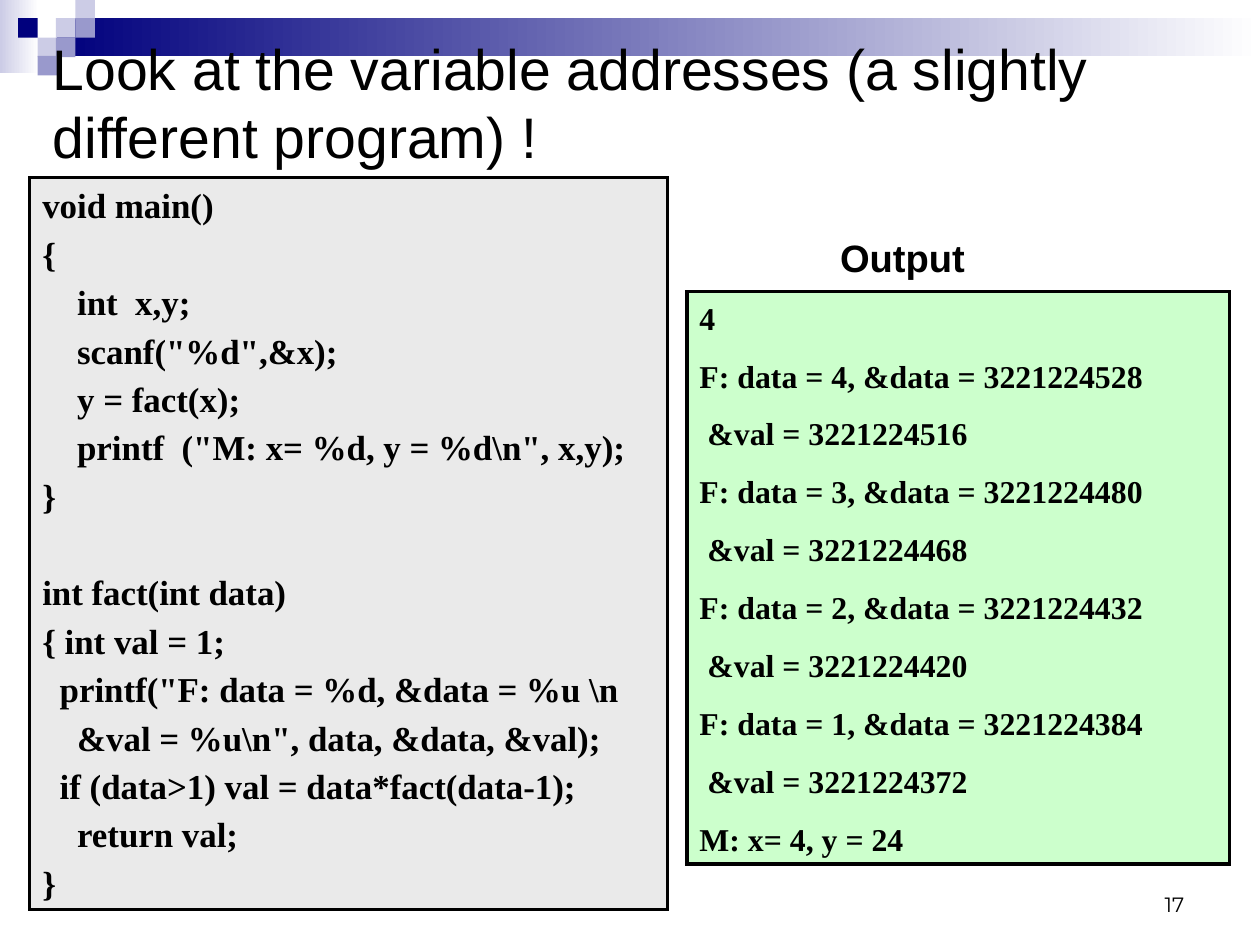
from lxml import etree
from pptx import Presentation
from pptx.dml.color import RGBColor
from pptx.enum import shapes, text
from pptx.oxml import ns
from pptx.util import Inches, Pt

NAVY, LILAC, PERIWINKLE, WHITE, BLACK = "00007D", "CCCCE6", "9999CC", "FFFFFF", "000000"

CODE = r'''void main()
{
    int  x,y;
    scanf("%d",&x);
    y = fact(x);
    printf  ("M: x= %d, y = %d\n", x,y);
}

int fact(int data)
{ int val = 1;
  printf("F: data = %d, &data = %u \n
    &val = %u\n", data, &data, &val);
  if (data>1) val = data*fact(data-1);
    return val;
}'''

OUTPUT = """4
F: data = 4, &data = 3221224528
 &val = 3221224516
F: data = 3, &data = 3221224480
 &val = 3221224468
F: data = 2, &data = 3221224432
 &val = 3221224420
F: data = 1, &data = 3221224384
 &val = 3221224372
M: x= 4, y = 24"""

TILES = [
    (0.49, 0.16, LILAC), (0.66, 0, LILAC), (0.66, 0.16, PERIWINKLE),
    (0.33, 0.33, LILAC), (0.16, 0.16, NAVY), (0.49, 0.33, PERIWINKLE),
    (0.33, 0.49, PERIWINKLE),
]


def color(value):
    return RGBColor.from_string(value)


def add_rect(slide, box, fill, fade_to=None, border=None):
    rect = slide.shapes.add_shape(
        shapes.MSO_SHAPE.RECTANGLE, *(Inches(length) for length in box))
    rect.shadow.inherit = False
    if fade_to:
        rect.fill.gradient()
        rect.fill.gradient_angle = 0
        for stop, value in zip(rect.fill.gradient_stops, (fill, fade_to)):
            stop.color.rgb = color(value)
    else:
        rect.fill.solid()
        rect.fill.fore_color.rgb = color(fill)
    if border:
        rect.line.color.rgb = color(border)
        rect.line.width = Pt(2)
        outline = rect.element.spPr.find(ns.qn("a:ln"))
        etree.SubElement(outline, ns.qn("a:miter"), lim="800000")
    else:
        rect.line.fill.background()
    return rect


def add_box(slide, box):
    return slide.shapes.add_textbox(*(Inches(length) for length in box))


def write(shape, content, *, size, font="Arial", bold=False, gap=0, inset=(0.11, 0.06),
          align=text.PP_ALIGN.LEFT, anchor=text.MSO_ANCHOR.TOP):
    frame = shape.text_frame
    frame.word_wrap = True
    frame.vertical_anchor = anchor
    frame.margin_left = frame.margin_right = Inches(inset[0])
    frame.margin_top = frame.margin_bottom = Inches(inset[1])
    frame.text = content
    for index, line in enumerate(frame.paragraphs):
        line.alignment = align
        line.space_before = Pt(gap if index else 0)
        line.font.size = Pt(size)
        line.font.name = font
        line.font.bold = bold
        line.font.color.rgb = color(BLACK)


def add_banner(slide):
    add_rect(slide, (0, 0, 0.34, 0.64), LILAC, fade_to=WHITE)
    add_rect(slide, (0.5, 0.16, 10.53, 0.33), NAVY, fade_to=WHITE)
    for left, top, fill in TILES:
        add_rect(slide, (left, top, 0.17, 0.17), fill)


def add_listing(slide, box, fill, content, size, gap):
    panel = add_rect(slide, box, fill, border=BLACK)
    write(panel, content, size=size, font="Times New Roman", bold=True, gap=gap)


def main():
    deck = Presentation()
    deck.slide_width, deck.slide_height = Inches(28 / 2.54), Inches(21 / 2.54)
    slide = deck.slides.add_slide(deck.slide_layouts[6])

    add_banner(slide)
    write(add_box(slide, (7.9, 7.53, 2.57, 0.55)), "17", size=13, font="Montserrat",
          align=text.PP_ALIGN.RIGHT, anchor=text.MSO_ANCHOR.BOTTOM)
    write(add_box(slide, (0.35, 0.47, 10.41, 0.84)),
          "Look at the variable addresses (a slightly different program) !",
          size=36, anchor=text.MSO_ANCHOR.MIDDLE)
    add_listing(slide, (0.26, 1.55, 5.58, 6.41), "EAEAEA", CODE, size=22, gap=4.1)
    add_listing(slide, (6.01, 2.55, 4.75, 5.01), "CCFFCC", OUTPUT, size=20, gap=12.5)
    write(add_box(slide, (7.35, 2.05, 1.42, 0.4)), "Output", size=24, bold=True, inset=(0, 0))

    deck.save("out.pptx")


if __name__ == "__main__":
    main()
